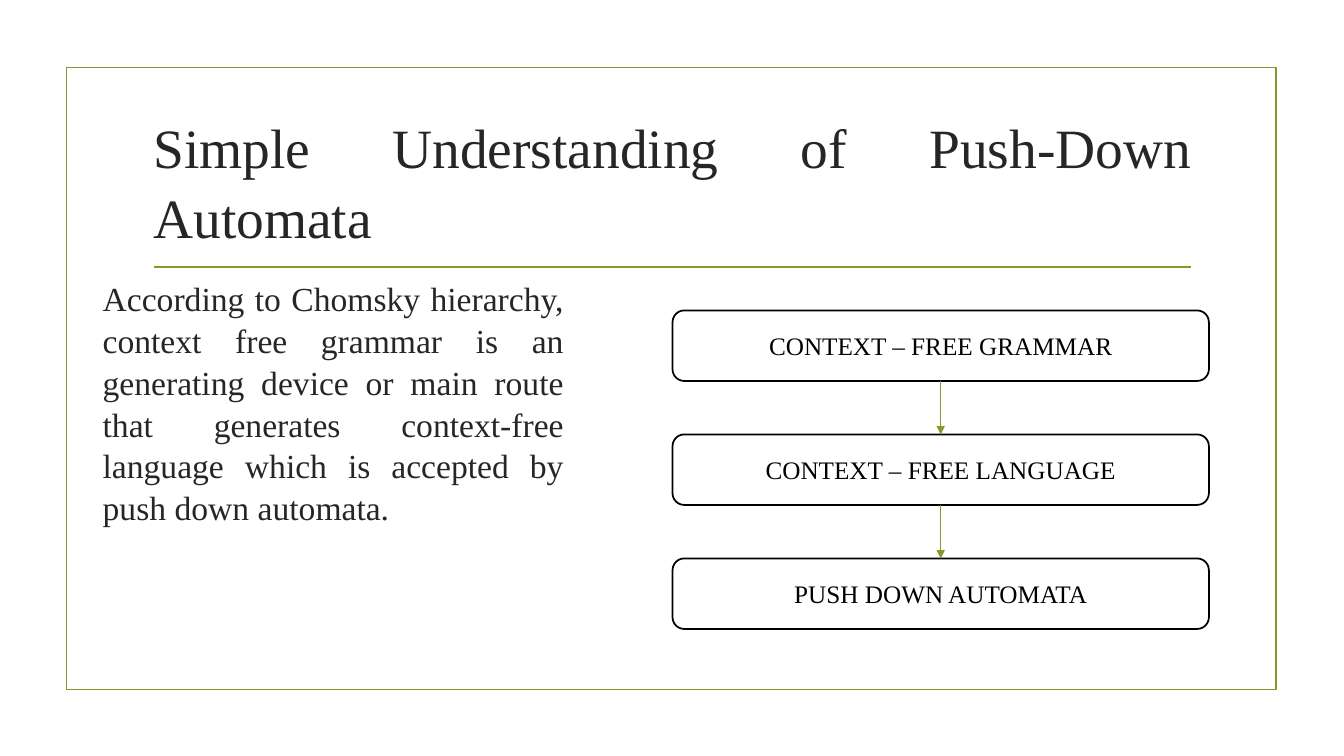
from dataclasses import dataclass
from itertools import pairwise

from lxml.etree import SubElement
from pptx import Presentation
from pptx.dml.color import RGBColor
from pptx.enum.shapes import MSO_CONNECTOR as Line, MSO_SHAPE as Shape
from pptx.enum.text import MSO_ANCHOR as Anchor, PP_ALIGN as Align
from pptx.oxml.ns import qn
from pptx.util import Emu, Pt

PX = 9144


@dataclass(frozen=True)
class Theme:
    font: str = "Times New Roman"
    accent: str = "83992A"
    ink: str = "262626"
    black: str = "000000"
    white: str = "FFFFFF"
    title: float = 39.6
    body: float = 24
    label: float = 18
    rule: float = 1.25
    arrow: float = 0.75
    spacing: float = 1.04


class Deck:
    def __init__(self, theme, width, height):
        self.theme = theme
        self.prs = Presentation()
        self.prs.slide_width, self.prs.slide_height = self.px(width, height)
        self.s = self.prs.slides.add_slide(self.prs.slide_layouts[5])

    def px(self, *lengths):
        return [Emu(n * PX) for n in lengths]

    def set_text(self, tf, text, size, color, align, anchor):
        tf.word_wrap = True
        tf.vertical_anchor = anchor
        p = tf.paragraphs[0]
        p.text = text
        p.alignment = align
        p.font.name = self.theme.font
        p.font.size = Pt(size)
        p.font.color.rgb = RGBColor.from_string(color)
        return p

    def title(self, text, *box):
        sp = self.s.shapes.title
        sp.left, sp.top, sp.width, sp.height = self.px(*box)
        p = self.set_text(sp.text_frame, text, self.theme.title, self.theme.ink,
                          Align.JUSTIFY, Anchor.MIDDLE)
        p.line_spacing = self.theme.spacing

    def body(self, text, *box):
        sp = self.s.shapes.add_textbox(*self.px(*box))
        p = self.set_text(sp.text_frame, text, self.theme.body, self.theme.ink,
                          Align.JUSTIFY, Anchor.TOP)
        p.line_spacing = self.theme.spacing
        p.space_after = Pt(6)

    def box(self, kind, color, *box):
        sp = self.s.shapes.add_shape(kind, *self.px(*box))
        sp.shadow.inherit = False
        sp.line.color.rgb = RGBColor.from_string(color)
        sp.line.width = Pt(self.theme.rule)
        return sp

    def frame(self, *box):
        sp = self.box(Shape.RECTANGLE, self.theme.accent, *box)
        sp.fill.background()

    def step(self, text, *box):
        sp = self.box(Shape.ROUNDED_RECTANGLE, self.theme.black, *box)
        sp.fill.solid()
        sp.fill.fore_color.rgb = RGBColor.from_string(self.theme.white)
        self.set_text(sp.text_frame, text, self.theme.label, self.theme.black,
                      Align.CENTER, Anchor.MIDDLE)
        return sp

    def line(self, width, *ends):
        cxn = self.s.shapes.add_connector(Line.STRAIGHT, *self.px(*ends))
        cxn.line.color.rgb = RGBColor.from_string(self.theme.accent)
        cxn.line.width = Pt(width)
        SubElement(cxn._element.spPr, qn("a:effectLst"))
        return cxn

    def rule(self, *ends):
        self.line(self.theme.rule, *ends)

    def arrow(self, upper, lower):
        cxn = self.line(self.theme.arrow, 0, 0, 0, 0)
        cxn.begin_connect(upper, 2)
        cxn.end_connect(lower, 0)
        ln = cxn._element.spPr.find(qn("a:ln"))
        SubElement(ln, qn("a:tailEnd"), type="triangle")


def main():
    deck = Deck(Theme(), 1333, 750)
    deck.frame(66, 67, 1200, 617)
    deck.rule(153, 265, 1181, 265)
    deck.title("Simple Understanding of Push-Down Automata", 142, 107, 1050, 143)
    deck.body(
        "According to Chomsky hierarchy, context free grammar is an generating "
        "device or main route that generates context-free language which is "
        "accepted by push down automata.",
        92, 269, 477, 337)
    labels = ["CONTEXT – FREE GRAMMAR", "CONTEXT – FREE LANGUAGE", "PUSH DOWN AUTOMATA"]
    steps = [deck.step(label, 667, 308 + 123 * i, 532, 70)
             for i, label in enumerate(labels)]
    for upper, lower in pairwise(steps):
        deck.arrow(upper, lower)
    deck.prs.save("out.pptx")


if __name__ == "__main__":
    main()
